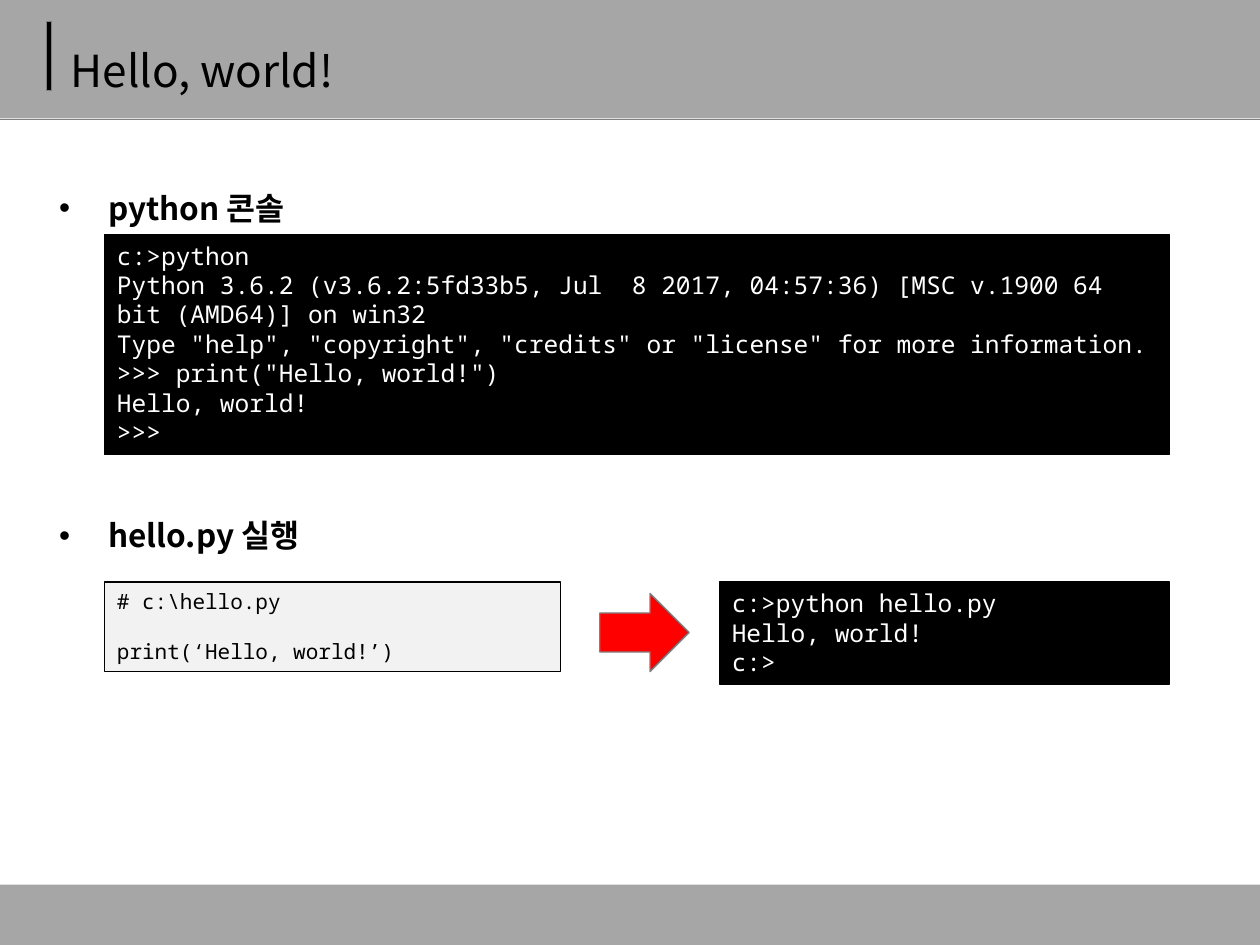
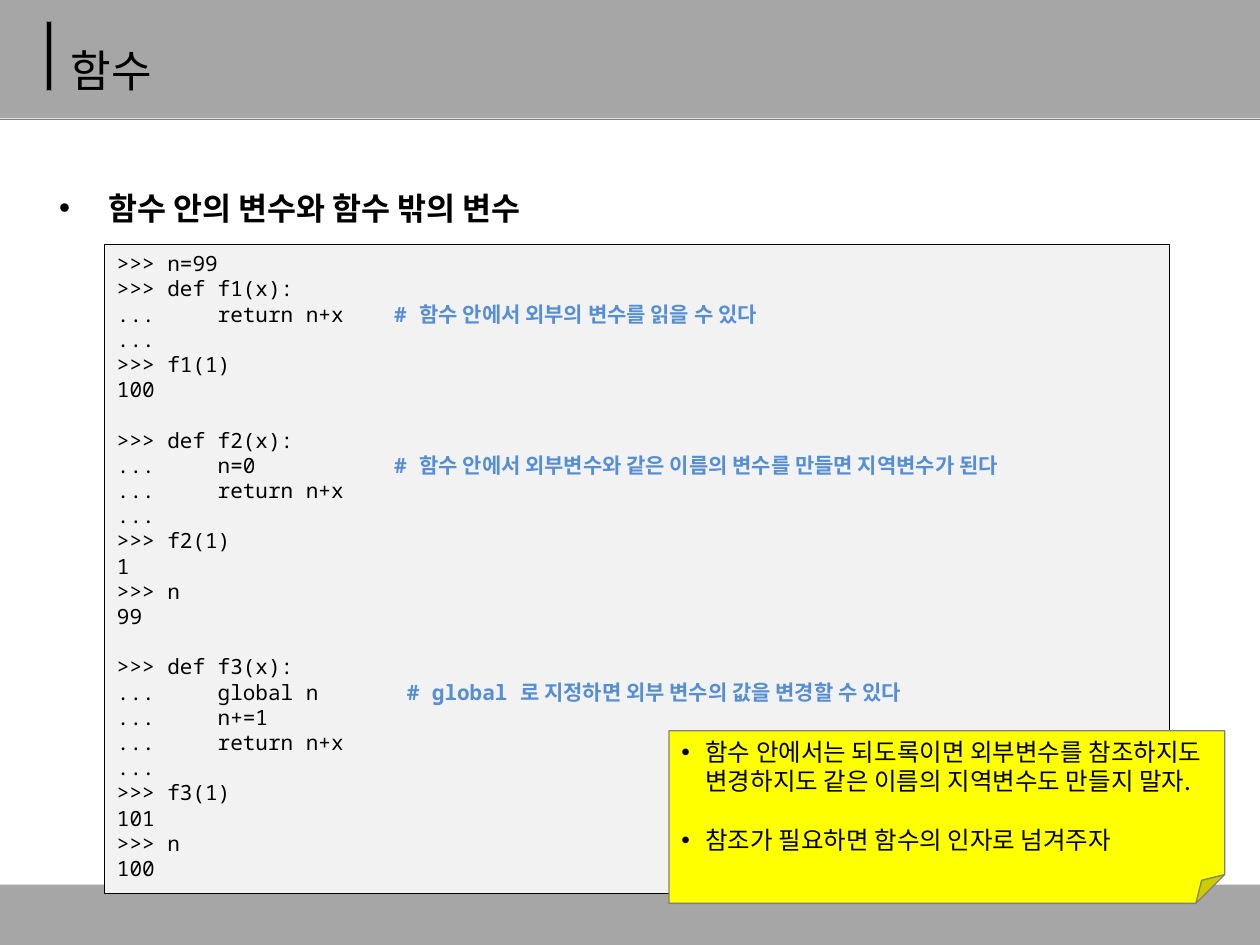
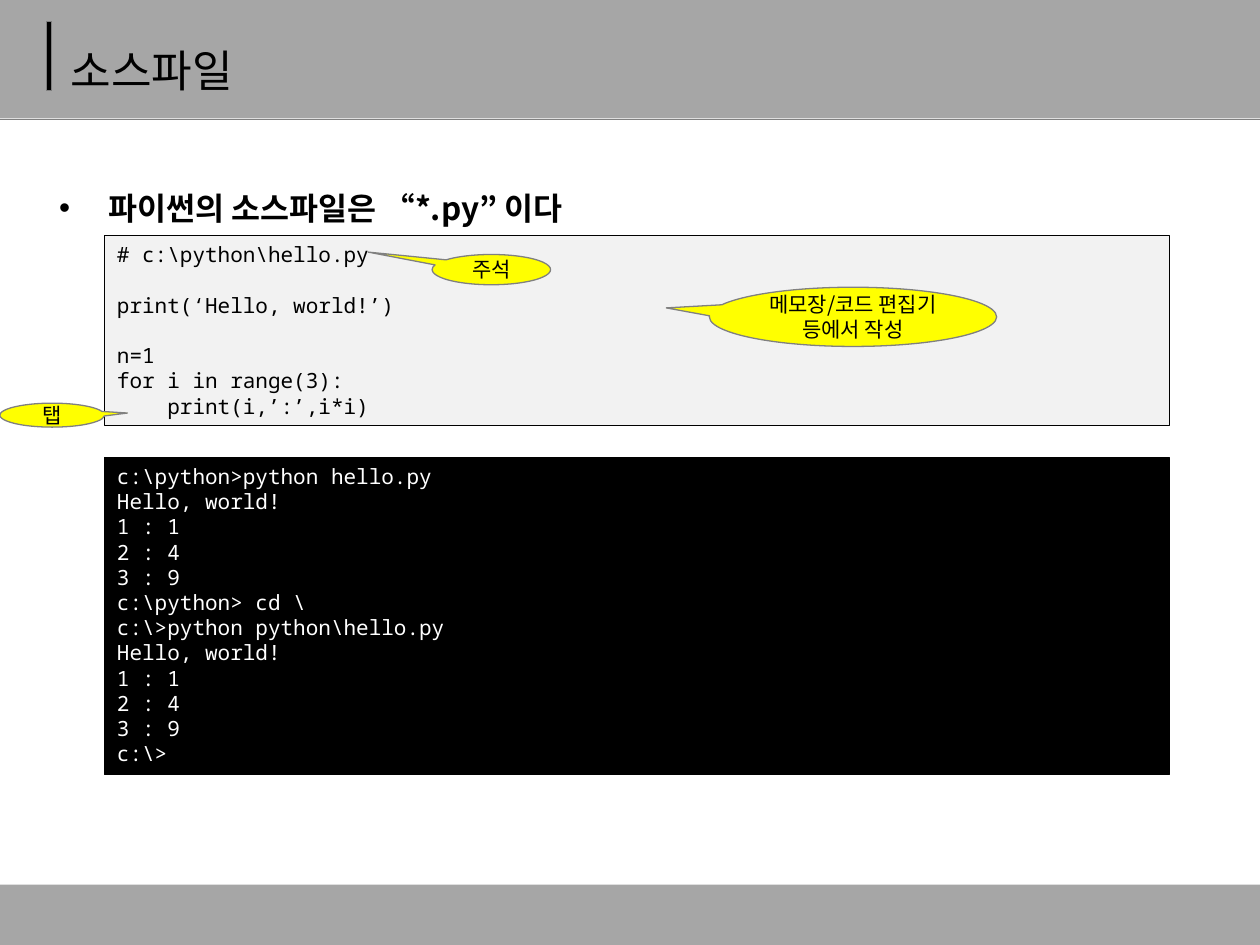
import dataclasses

import pptx
import pptx.dml.color
import pptx.enum.shapes
import pptx.enum.text
import pptx.oxml
import pptx.oxml.ns
import pptx.util
from lxml import etree

SHAPE = pptx.enum.shapes.MSO_SHAPE
ALIGN = pptx.enum.text.PP_ALIGN
ANCHOR = pptx.enum.text.MSO_ANCHOR
AUTO_SIZE = pptx.enum.text.MSO_AUTO_SIZE
qn = pptx.oxml.ns.qn

COLUMNS, ROWS = 100, 75
CELL = pptx.util.Inches(0.1)
LEFT, WIDTH = 8.3, 84.5


@dataclasses.dataclass(frozen=True)
class Theme:
    sans: str = "Noto Sans CJK KR"
    mono: str = "Noto Sans Mono"
    black: str = "000000"
    white: str = "FFFFFF"
    band: str = "A6A6A6"
    outline: str = "808080"
    paper: str = "F2F2F2"
    comment: str = "558ED5"
    note: str = "FFFF00"
    arrow: str = "FF0000"
    title_size: float = 25.2
    heading_size: int = 18
    large: int = 14
    small: int = 12
    stroke: float = 0.75
    line_height: float = 1.2


THEME = Theme()

CONSOLE = """c:>python
Python 3.6.2 (v3.6.2:5fd33b5, Jul  8 2017, 04:57:36) [MSC v.1900 64 bit (AMD64)] on win32
Type "help", "copyright", "credits" or "license" for more information.
>>> print("Hello, world!")
Hello, world!
>>>"""

HELLO_FILE = r"""# c:\hello.py

print(‘Hello, world!’)"""

HELLO_RUN = """c:>python hello.py
Hello, world!
c:>"""

SCOPES = """>>> n=99
>>> def f1(x):
...     return n+x    # 함수 안에서 외부의 변수를 읽을 수 있다
...
>>> f1(1)
100

>>> def f2(x):
...     n=0           # 함수 안에서 외부변수와 같은 이름의 변수를 만들면 지역변수가 된다
...     return n+x
...
>>> f2(1)
1
>>> n
99

>>> def f3(x):
...     global n       # global 로 지정하면 외부 변수의 값을 변경할 수 있다
...     n+=1
...     return n+x
...
>>> f3(1)
101
>>> n
100"""

ADVICE = """함수 안에서는 되도록이면 외부변수를 참조하지도 변경하지도 같은 이름의 지역변수도 만들지 말자.

참조가 필요하면 함수의 인자로 넘겨주자"""

LOOP_FILE = r"""# c:\python\hello.py

print(‘Hello, world!’)

n=1
for i in range(3):
    print(i,’:’,i*i)"""

LOOP_RUN = r"""c:\python>python hello.py
Hello, world!
1 : 1
2 : 4
3 : 9
c:\python> cd \
c:\>python python\hello.py
Hello, world!
1 : 1
2 : 4
3 : 9
c:\>"""


def rgb(value):
    return pptx.dml.color.RGBColor.from_string(value)


def cells(*counts):
    return [round(count * CELL) for count in counts]


def place(shape, area):
    shape.left, shape.top, shape.width, shape.height = cells(*area)


def paint(shape, fill, outline=None):
    shape.fill.solid()
    shape.fill.fore_color.rgb = rgb(fill)
    if outline:
        shape.line.color.rgb = rgb(outline)
        shape.line.width = pptx.util.Pt(THEME.stroke)
    else:
        shape.line.fill.background()


def add_bullet(para, indent):
    properties = para._p.get_or_add_pPr()
    properties.set("marL", str(pptx.util.Inches(indent)))
    properties.set("indent", str(-pptx.util.Inches(indent)))
    etree.SubElement(properties, qn("a:buFont")).set("typeface", "Arial")
    etree.SubElement(properties, qn("a:buChar")).set("char", "•")


def style(para, size, font=THEME.sans, colour=THEME.black, bold=False):
    para.font.size = pptx.util.Pt(size)
    para.font.bold = bold
    para.font.color.rgb = rgb(colour)
    para.font.name = font
    defaults = para._p.pPr.find(qn("a:defRPr"))
    etree.SubElement(defaults, qn("a:ea")).set("typeface", THEME.sans)


def add_spans(para, line):
    code, mark, remark = line.partition("#")
    if not (code and mark):
        para.add_run().text = line
        return
    para.add_run().text = code
    span = para.add_run()
    span.text = mark + remark
    span.font.bold = True
    span.font.color.rgb = rgb(THEME.comment)


def write(box, text, size, font=THEME.sans, colour=THEME.black,
          align=ALIGN.LEFT, indent=None):
    frame = box.text_frame
    para = frame.paragraphs[0]
    gap = 0
    for number, line in enumerate(text.split("\n")):
        if not line:
            gap += size * THEME.line_height
            continue
        if number:
            para = frame.add_paragraph()
        if indent:
            add_bullet(para, indent)
        para.alignment = align
        para.space_before = pptx.util.Pt(gap)
        style(para, size, font, colour)
        add_spans(para, line)
        gap = 0


def write_heading(box, text):
    box.text_frame.word_wrap = True
    box.text_frame.auto_size = AUTO_SIZE.NONE
    para = box.text_frame.paragraphs[0]
    add_bullet(para, 0.39)
    para.line_spacing = 2.0
    para.space_before = pptx.util.Pt(0)
    style(para, THEME.heading_size, bold=True)
    para.add_run().text = text


def add_code(page, area, text, size, fill=THEME.paper, colour=THEME.black):
    box = page.shapes.add_textbox(*cells(*area))
    box.text_frame.word_wrap = True
    paint(box, fill, THEME.black)
    write(box, text, size, THEME.mono, colour)


def add_console(page, area, text, size):
    add_code(page, area, text, size, THEME.black, THEME.white)


def add_figure(page, kind, area, fill, outline=THEME.outline):
    figure = page.shapes.add_shape(kind, *cells(*area))
    figure.shadow.inherit = False
    paint(figure, fill, outline)
    return figure


def add_callout(page, area, tip, text, wrap=True):
    callout = add_figure(page, SHAPE.OVAL_CALLOUT, area, THEME.note)
    callout.adjustments[0], callout.adjustments[1] = tip
    callout.text_frame.word_wrap = wrap
    callout.text_frame.vertical_anchor = ANCHOR.MIDDLE
    write(callout, text, THEME.small, align=ALIGN.CENTER)


def add_rule(page, row):
    rule = page.shapes.add_connector(
        pptx.enum.shapes.MSO_CONNECTOR.STRAIGHT, *cells(0, row, COLUMNS, row))
    rule.line.color.rgb = rgb(THEME.outline)
    rule.line.width = pptx.util.Pt(THEME.stroke)
    etree.SubElement(rule.element.spPr, qn("a:effectLst"))
    return rule


def dress_layout(page):
    pieces = [
        add_figure(page, SHAPE.RECTANGLE, (0, -0.1, COLUMNS, 9.5), THEME.band, None),
        add_rule(page, 9.5),
        add_figure(page, SHAPE.RECTANGLE, (3.7, 1.7, 0.4, 5.5), THEME.black),
        add_figure(page, SHAPE.RECTANGLE, (0, 70.2, COLUMNS, 4.8), THEME.band, None),
    ]
    tree = page.slide_layout.shapes.element
    for number, piece in enumerate(pieces):
        piece.element.xpath(".//p:cNvPr")[0].set("id", str(20 + number))
        tree.insert(2 + number, piece.element)


def add_page(deck, title, heading, body_rows=51.5):
    page = deck.slides.add_slide(deck.slide_layouts[1])
    title_box, body = page.placeholders
    place(title_box, (4.6, 1.4, 86.2, 6.2))
    title_box.text_frame.auto_size = AUTO_SIZE.NONE
    title_box.text_frame.vertical_anchor = ANCHOR.MIDDLE
    para = title_box.text_frame.paragraphs[0]
    para.alignment = ALIGN.LEFT
    para.line_spacing = 1.5
    style(para, THEME.title_size)
    para.add_run().text = title
    place(body, (3.7, 11.5, 92.8, body_rows))
    write_heading(body, heading)
    return page


def add_hello_page(deck):
    page = add_page(deck, "Hello, world!", "python 콘솔", 8.7)
    dress_layout(page)
    add_console(page, (LEFT, 18.6, WIDTH, 17.5), CONSOLE, THEME.large)
    write_heading(page.shapes.add_textbox(*cells(3.7, 37.5, 92.8, 8.7)), "hello.py 실행")
    add_console(page, (57.1, 46.2, 35.7, 8.1), HELLO_RUN, THEME.large)
    add_code(page, (LEFT, 46.2, 36.2, 7.1), HELLO_FILE, THEME.small)
    add_figure(page, SHAPE.RIGHT_ARROW, (47.6, 47.1, 7.1, 6.2), THEME.arrow)


def add_function_page(deck):
    page = add_page(deck, "함수", "함수 안의 변수와 함수 밖의 변수")
    add_code(page, (LEFT, 19.4, WIDTH, 51.5), SCOPES, THEME.small)
    note = add_figure(page, SHAPE.FOLDED_CORNER, (53.1, 58, 44.1, 13.7), THEME.note)
    note.text_frame.word_wrap = True
    note.text_frame.vertical_anchor = ANCHOR.TOP
    write(note, ADVICE, THEME.large, indent=0.19)


def add_source_page(deck):
    page = add_page(deck, "소스파일", "파이썬의 소스파일은 “*.py” 이다")
    add_code(page, (LEFT, 18.7, WIDTH, 15.1), LOOP_FILE, THEME.small)
    add_console(page, (LEFT, 36.3, WIDTH, 25.2), LOOP_RUN, THEME.small)
    add_callout(page, (0, 32, 8.3, 1.9), (0.72, -0.09), "탭")
    add_callout(page, (34.3, 20.2, 9.4, 2.4), (-1.04, -0.58), "주석")
    add_callout(page, (56.3, 22.8, 22.8, 4.7), (-0.65, -0.15),
                "메모장/코드 편집기\n등에서 작성", wrap=False)


def main():
    deck = pptx.Presentation()
    deck.slide_width, deck.slide_height = cells(COLUMNS, ROWS)
    add_hello_page(deck)
    add_function_page(deck)
    add_source_page(deck)
    deck.save("out.pptx")


if __name__ == "__main__":
    main()
